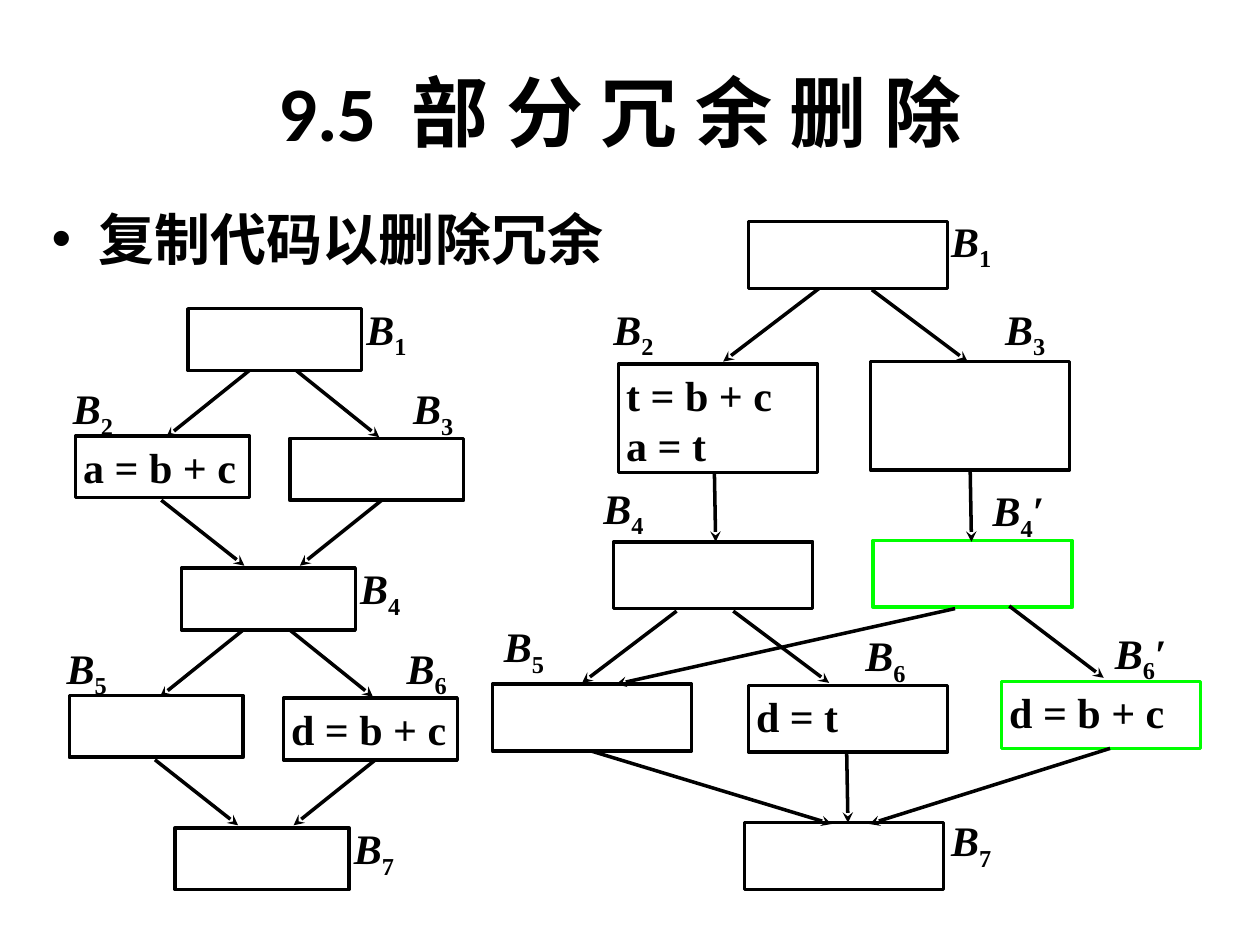
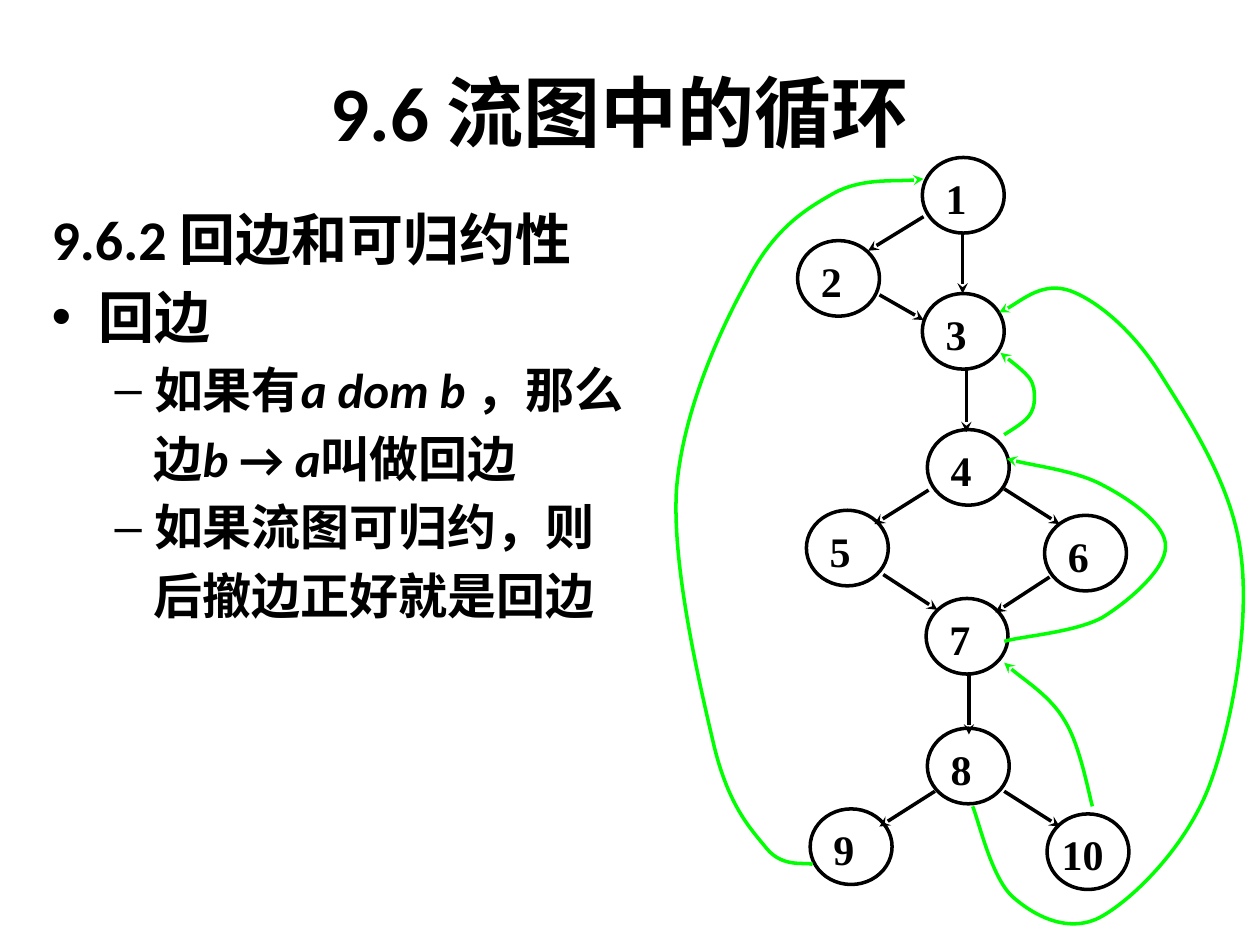
import pptx
import pptx.dml.color
import pptx.enum.shapes
import pptx.enum.text
import pptx.oxml
import pptx.oxml.ns
import pptx.util
from lxml import etree

Inches = pptx.util.Inches
qn = pptx.oxml.ns.qn
HUES = {"ink": "000000", "new": "00FF00"}
SANS, SERIF, HAN = "Calibri", "Times New Roman", "Noto Sans CJK SC"


def write(para, parts, size, font):
    """Fill a paragraph with bold runs; parts are (text, mark), mark is "", "i" or "sub"."""
    for text, mark in parts:
        run = para.add_run()
        run.text = text
        run.font.size = pptx.util.Pt(size)
        run.font.bold = True
        run.font.italic = mark == "i"
        run.font.name = font
        run.font.color.rgb = pptx.dml.color.RGBColor.from_string(HUES["ink"])
        props = run.font._element
        etree.SubElement(props, qn("a:ea")).set("typeface", font)
        if mark == "sub":
            props.set("baseline", "-25000")


def trace(shape, hue, arrow=False):
    """Give a shape its outline, without shadow, and an arrowhead at its end if asked."""
    shape.line.color.rgb = pptx.dml.color.RGBColor.from_string(HUES[hue])
    shape.line.width = pptx.util.Pt(2)
    props = shape._element.spPr
    if arrow:
        etree.SubElement(props.find(qn("a:ln")), qn("a:tailEnd")).set("type", "stealth")
    etree.SubElement(props, qn("a:effectLst"))


deck = pptx.Presentation()
deck.slide_width, deck.slide_height = Inches(10), Inches(7.5)

# Titles and lists: each list line is (level, has bullet, parts)
pages = [
    ([("9.5  ", SANS), ("部 分 冗 余 删 除", HAN)],
     [(0, True, [("复制代码以删除冗余", "")])]),
    ([("9.6 ", SANS), ("流图中的循环", HAN)],
     [(0, False, [("9.6.2 回边和可归约性", "")]),
      (0, True, [("回边", "")]),
      (1, True, [("如果有", ""), ("a dom b", "i"), (" ，那么", "")]),
      (1, False, [("边", ""), ("b ", "i"), ("→ ", ""), ("a", "i"), ("叫做回边", "")]),
      (1, True, [("如果流图可归约，则", "")]),
      (1, False, [("后撤边正好就是回边", "")])]),
]
for heading, lines in pages:
    page = deck.slides.add_slide(deck.slide_layouts[1])
    title, body = page.placeholders
    title.left, title.top, title.width, title.height = map(Inches, (0.42, 0.25, 9, 1.25))
    body.left, body.top, body.width, body.height = map(Inches, (0.31, 1.57, 9.37, 5.51))
    for text, font in heading:
        write(title.text_frame.paragraphs[0], [(text, "")], 44, font)
    frame = body.text_frame
    for holder in (title, body):
        holder.text_frame.auto_size = pptx.enum.text.MSO_AUTO_SIZE.NONE
    for index, (level, dot, parts) in enumerate(lines):
        para = frame.paragraphs[0] if index == 0 else frame.add_paragraph()
        para.level = level
        if index == 0:
            para.space_before = pptx.util.Pt(0)
        if not dot:
            props = para._p.get_or_add_pPr()
            props.set("marL", str(Inches(0.81 * level)))
            props.set("indent", "0")
            etree.SubElement(props, qn("a:buNone"))
        write(para, parts, 28 if level else 32, SANS)
copy_page, loop_page = deck.slides

# Flow graphs before (left) and after (right) copying the block
boxes = [
    (5.94, 1.76, 1.58, 0.53, "ink", ""),
    (4.91, 2.89, 1.58, 0.86, "ink", "t = b + c\na = t"),
    (6.91, 2.87, 1.58, 0.86, "ink", ""),
    (4.87, 4.3, 1.58, 0.53, "ink", ""),
    (6.93, 4.29, 1.58, 0.53, "new", ""),
    (3.91, 5.43, 1.58, 0.53, "ink", ""),
    (5.94, 5.44, 1.58, 0.53, "ink", "d = t"),
    (7.95, 5.41, 1.58, 0.53, "new", "d = b + c"),
    (5.91, 6.53, 1.58, 0.53, "ink", ""),
]
tags = [
    (7.45, 1.55, "1"), (4.77, 2.25, "2"), (7.88, 2.25, "3"),
    (4.69, 3.67, "4"), (7.78, 3.69, "4′"), (3.9, 4.77, "5"),
    (6.77, 4.84, "6"), (8.75, 4.82, "6′"), (7.45, 6.31, "7"),
]
flows = [
    (6.5, 2.29, 5.74, 2.87), (6.92, 2.3, 7.68, 2.87),
    (5.67, 3.74, 5.68, 4.3), (7.7, 3.74, 7.71, 4.3),
    (5.37, 4.85, 4.62, 5.42), (5.82, 4.85, 6.58, 5.42),
    (7.58, 4.83, 4.89, 5.43), (8.01, 4.81, 8.76, 5.38),
    (4.69, 5.96, 6.6, 6.54), (6.72, 5.97, 6.73, 6.53),
    (8.81, 5.94, 6.9, 6.54),
]
# The left graph is two like diamonds, one below the other
for tier in range(3):
    dx, dy = -0.05 * tier, 2.06 * tier
    first = 3 * tier + 1
    boxes.append((1.49 + dx, 2.45 + dy, 1.38, 0.49, "ink", ""))
    tags.append((2.81 + dx, 2.25 + dy, str(first)))
    if tier == 2:
        break
    sides = [("a = b + c", ""), ("", "d = b + c")][tier]
    boxes += [(0.6 + dx, 3.46 + dy, 1.38, 0.49, "ink", sides[0]),
              (2.3 + dx, 3.48 + dy, 1.38, 0.49, "ink", sides[1])]
    tags += [(0.48 + dx, 2.88 + dy, str(first + 1)),
             (3.18 + dx, 2.88 + dy, str(first + 2))]
    flows += [(x1 + dx, y1 + dy, x2 + dx, y2 + dy) for x1, y1, x2, y2 in (
        (1.98, 2.94, 1.32, 3.47), (2.35, 2.94, 3.01, 3.47),
        (1.28, 3.97, 1.94, 4.49), (3.03, 3.97, 2.38, 4.49))]

for x, y, number in tags:
    label = copy_page.shapes.add_textbox(Inches(x), Inches(y), Inches(0.9), Inches(0.7))
    label.text_frame.word_wrap = True
    para = label.text_frame.paragraphs[0]
    para.line_spacing = 1.24
    parts = [("B", "i"), (number[0], "sub")]
    if number[1:]:
        parts.append((number[1:], ""))
    write(para, parts, 24, SERIF)

# Circles of the loop graph
nodes = [
    (7.32, 1.25), (6.33, 1.91), (7.32, 2.33), (7.36, 3.41), (6.4, 4.05),
    (8.29, 4.09), (7.35, 4.75), (7.36, 5.78), (6.43, 6.42), (8.31, 6.46),
]
rect = pptx.enum.shapes.MSO_SHAPE.RECTANGLE
oval = pptx.enum.shapes.MSO_SHAPE.OVAL
blocks = [(copy_page, rect, box, (0.06, 0.04)) for box in boxes]
for number, (x, y) in enumerate(nodes, 1):
    inset = (0.09 if number < 10 else 0.02, 0.03)
    blocks.append((loop_page, oval, (x, y, 0.65, 0.6, "ink", str(number)), inset))
for page, kind, (x, y, wide, high, hue, text), (side, top) in blocks:
    block = page.shapes.add_shape(kind, Inches(x), Inches(y), Inches(wide), Inches(high))
    block.fill.background()
    trace(block, hue)
    if not text:
        continue
    frame = block.text_frame
    frame.word_wrap = True
    frame.vertical_anchor = pptx.enum.text.MSO_ANCHOR.TOP
    frame.margin_left = frame.margin_right = Inches(side)
    frame.margin_top = frame.margin_bottom = Inches(top)
    for index, line in enumerate(text.split("\n")):
        para = frame.paragraphs[0] if index == 0 else frame.add_paragraph()
        para.alignment = pptx.enum.text.PP_ALIGN.LEFT
        write(para, [(line, "")], 24, SERIF)

edges = [
    (7.33, 1.72, 6.89, 1.99), (7.64, 1.84, 7.64, 2.33), (6.98, 2.34, 7.33, 2.54),
    (7.67, 2.94, 7.67, 3.43), (7.37, 3.89, 6.94, 4.16), (7.97, 3.88, 8.41, 4.16),
    (7.01, 4.56, 7.44, 4.84), (8.33, 4.58, 7.9, 4.86), (7.69, 5.34, 7.69, 5.83),
    (7.97, 6.28, 8.41, 6.56), (7.42, 6.28, 6.98, 6.56),
]
straight = pptx.enum.shapes.MSO_CONNECTOR.STRAIGHT
for page, ends in ((copy_page, flows), (loop_page, edges)):
    for end in ends:
        trace(page.shapes.add_connector(straight, *map(Inches, end)), "ink", True)

# Back edges: a start point, then three points for each Bezier curve
backs = [
    [(7.97, 5.09), (8.1, 5.05), (8.53, 5.02), (8.75, 4.9), (8.96, 4.77), (9.25, 4.52),
     (9.25, 4.34), (9.26, 4.17), (8.98, 3.97), (8.77, 3.86), (8.56, 3.74), (8.15, 3.69),
     (7.99, 3.64)],
    [(6.45, 6.86), (6.39, 6.84), (6.22, 6.89), (6.09, 6.74), (5.96, 6.58), (5.79, 6.41),
     (5.67, 5.93), (5.56, 5.46), (5.33, 4.5), (5.37, 3.88), (5.42, 3.26), (5.72, 2.61),
     (5.93, 2.23), (6.13, 1.84), (6.36, 1.68), (6.59, 1.55), (6.82, 1.41), (7.17, 1.45),
     (7.33, 1.42)],
    [(7.72, 6.4), (7.77, 6.52), (7.87, 6.97), (8.04, 7.12), (8.21, 7.27), (8.49, 7.42),
     (8.75, 7.27), (9.01, 7.12), (9.42, 6.71), (9.6, 6.23), (9.78, 5.75), (9.92, 4.95),
     (9.85, 4.41), (9.79, 3.86), (9.43, 3.32), (9.21, 2.97), (8.99, 2.62), (8.71, 2.39),
     (8.5, 2.31), (8.28, 2.23), (8.04, 2.44), (7.93, 2.48)],
    [(7.97, 3.45), (8, 3.43), (8.12, 3.36), (8.16, 3.31), (8.2, 3.26), (8.21, 3.21),
     (8.21, 3.16), (8.21, 3.11), (8.21, 3.06), (8.17, 3), (8.12, 2.94), (7.99, 2.84),
     (7.94, 2.8)],
    [(8.67, 6.4), (8.64, 6.29), (8.57, 5.91), (8.45, 5.72), (8.34, 5.53), (8.07, 5.36),
     (7.97, 5.26)],
]
for points in backs:
    spots = [(Inches(x), Inches(y)) for x, y in points]
    maker = loop_page.shapes.build_freeform(*spots[0])
    maker.add_line_segments(spots[1:], close=False)
    curve = maker.convert_to_shape()
    curve.fill.background()
    trace(curve, "new", True)
    # Join each three straight steps into one curve
    steps = list(curve._element.iter(qn("a:lnTo")))
    for index in range(0, len(steps), 3):
        bend = etree.SubElement(steps[index].getparent(), qn("a:cubicBezTo"))
        for step in steps[index:index + 3]:
            bend.append(step[0])
            step.getparent().remove(step)

deck.save("out.pptx")
